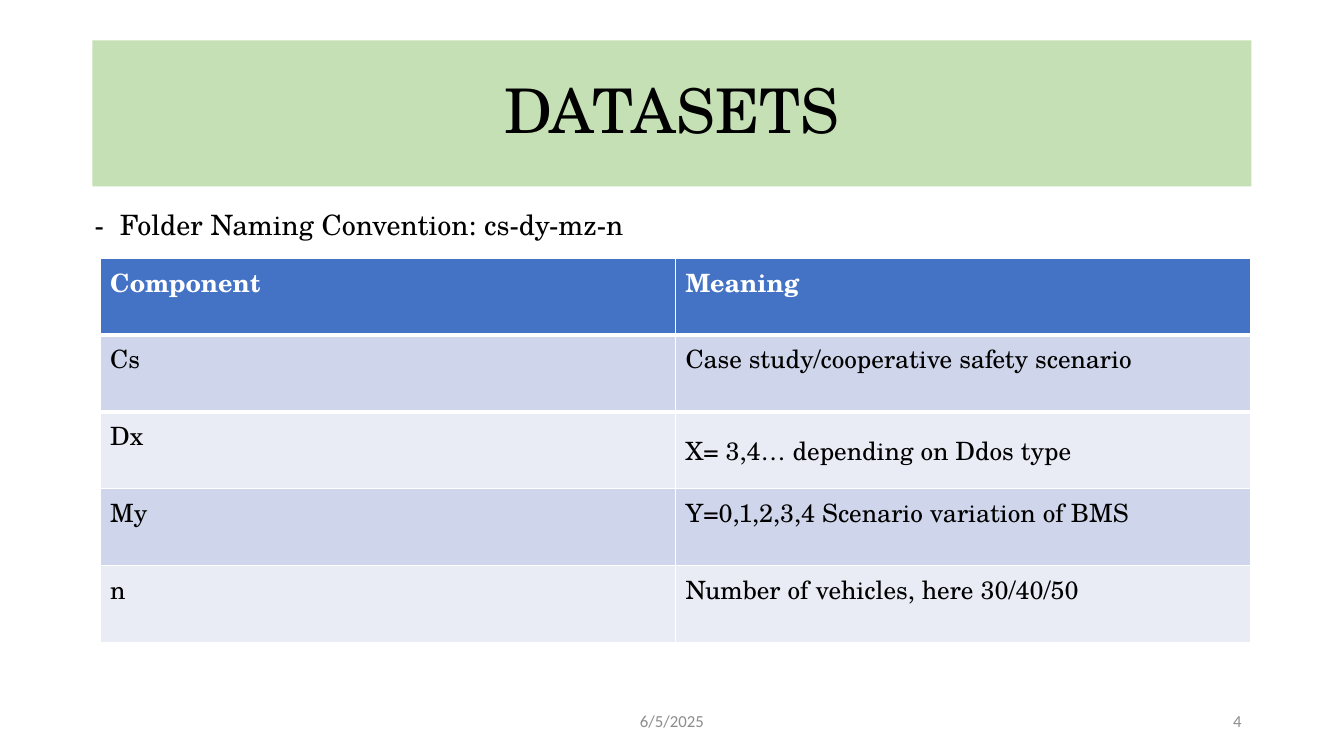
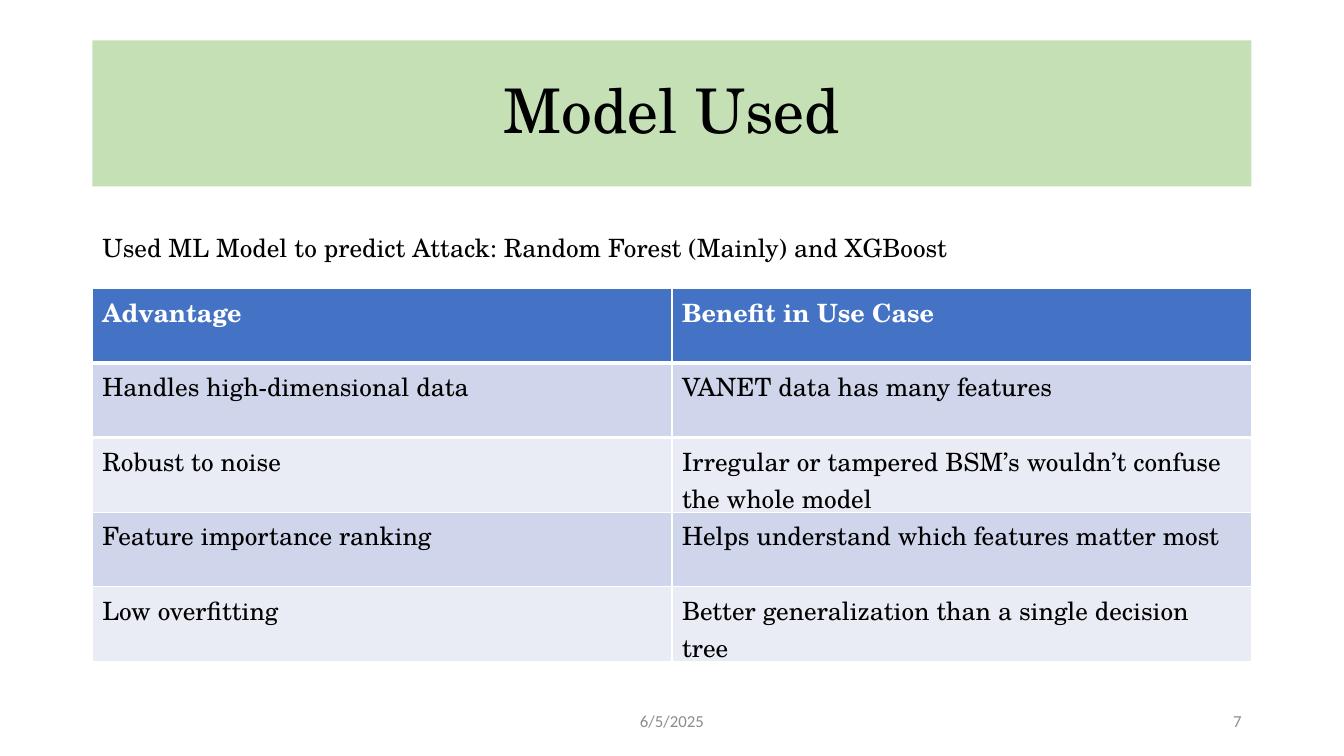
"""Build two slides on vehicle datasets and the model used."""
from dataclasses import dataclass

from lxml.etree import SubElement
from pptx import Presentation
from pptx.dml.color import RGBColor
from pptx.enum.text import MSO_ANCHOR as Anchor, PP_ALIGN as Align
from pptx.oxml.ns import qn
from pptx.util import Pt

COLOURS = {
    "text": "000000",
    "band": "C5E0B4",
    "footer": "8C8C8C",
    "header": "4472C4",
    "header_text": "FFFFFF",
    "rule": "FFFFFF",
    "odd_row": "CFD5EA",
    "even_row": "E9EBF5",
}
SERIF = "TeX Gyre Schola"
SANS = "Calibri"
DATE = "6/5/2025"


@dataclass(frozen=True)
class TextStyle:
    size: float
    font: str = SERIF
    colour: str = "text"
    bold: bool = False
    align: Align = Align.LEFT
    anchor: Anchor = Anchor.TOP
    spacing: float = 1.0


@dataclass(frozen=True)
class Frame:
    left: float
    top: float
    width: float
    height: float

    def lengths(self) -> tuple:
        return Pt(self.left), Pt(self.top), Pt(self.width), Pt(self.height)


@dataclass(frozen=True)
class Content:
    title: str
    number: int
    intro: str
    intro_frame: Frame
    intro_size: float
    bullet: str
    table_frame: Frame
    rows: list
    middle_cells: tuple = ()


TITLE = TextStyle(44, align=Align.CENTER, anchor=Anchor.MIDDLE, spacing=0.9)
DATE_STYLE = TextStyle(12, SANS, "footer", align=Align.CENTER, anchor=Anchor.MIDDLE)
NUMBER_STYLE = TextStyle(12, SANS, "footer", align=Align.RIGHT, anchor=Anchor.MIDDLE)
HEADER_CELL = TextStyle(18, colour="header_text", bold=True)
BODY_CELL = TextStyle(18)

TITLE_FRAME = Frame(66, 28.8, 828, 104.4)
DATE_FRAME = Frame(318, 500.5, 324, 28.75)
NUMBER_FRAME = Frame(678, 500.5, 216, 28.75)

CONTENTS = [
    Content(
        "DATASETS", 4, "Folder Naming Convention: cs-dy-mz-n",
        Frame(60.5, 145, 828, 36), 20, "-", Frame(71.5, 184.5, 822, 274.5),
        [
            ("Component", "Meaning"),
            ("Cs", "Case study/cooperative safety scenario"),
            ("Dx", "X= 3,4… depending on Ddos type"),
            ("My", "Y=0,1,2,3,4 Scenario variation of BMS"),
            ("n", "Number of vehicles, here 30/40/50"),
        ],
        ((2, 1),),
    ),
    Content(
        "Model Used", 7,
        "Used ML Model to predict Attack: Random Forest (Mainly) and XGBoost",
        Frame(66, 162.75, 828, 36), 18, "", Frame(66, 206, 828, 266.5),
        [
            ("Advantage", "Benefit in Use Case"),
            ("Handles high-dimensional data", "VANET data has many features"),
            ("Robust to noise",
             "Irregular or tampered BSM’s wouldn’t confuse the whole model"),
            ("Feature importance ranking", "Helps understand which features matter most"),
            ("Low overfitting", "Better generalization than a single decision tree"),
        ],
    ),
]


def rgb(name: str) -> RGBColor:
    return RGBColor.from_string(COLOURS[name])


def write(text_frame, text: str, style: TextStyle):
    para = text_frame.paragraphs[0]
    para.text = text
    para.alignment = style.align
    if style.spacing != 1:
        para.line_spacing = style.spacing
    font = para.font
    font.name, font.size, font.bold = style.font, Pt(style.size), style.bold
    font.color.rgb = rgb(style.colour)
    return para


def add_text(page, frame: Frame, text: str, style: TextStyle, fill: str = ""):
    box = page.shapes.add_textbox(*frame.lengths())
    box.text_frame.word_wrap = True
    box.text_frame.vertical_anchor = style.anchor
    if fill:
        box.fill.solid()
        box.fill.fore_color.rgb = rgb(fill)
    return write(box.text_frame, text, style)


def set_bullet(para, mark: str, indent: float) -> None:
    properties = para._p.get_or_add_pPr()
    properties.set("marL", str(Pt(indent)))
    properties.set("indent", str(-Pt(indent)))
    SubElement(properties, qn("a:buFont")).set("typeface", SERIF)
    SubElement(properties, qn("a:buChar")).set("char", mark)
    default_font = properties.find(qn("a:defRPr"))
    if default_font is not None:
        properties.append(default_font)


def set_border(cell, side: str, width: float) -> None:
    properties = cell._tc.get_or_add_tcPr()
    line = SubElement(properties, qn(f"a:{side}"), w=str(Pt(width)))
    solid = SubElement(line, qn("a:solidFill"))
    SubElement(solid, qn("a:srgbClr")).set("val", COLOURS["rule"])


def add_grid(page, content: Content) -> None:
    frame, rows = content.table_frame, content.rows
    table = page.shapes.add_table(len(rows), len(rows[0]), *frame.lengths()).table
    for row_index, row in enumerate(rows):
        table.rows[row_index].height = Pt(frame.height / len(rows))
        fill = "odd_row" if row_index % 2 else "even_row"
        for column_index, text in enumerate(row):
            cell = table.cell(row_index, column_index)
            if row_index < 2:
                set_border(cell, "lnT" if row_index else "lnB", 3)
            cell.fill.solid()
            cell.fill.fore_color.rgb = rgb(fill if row_index else "header")
            if (row_index, column_index) in content.middle_cells:
                cell.vertical_anchor = Anchor.MIDDLE
            write(cell.text_frame, text, BODY_CELL if row_index else HEADER_CELL)


def add_page(deck, content: Content) -> None:
    page = deck.slides.add_slide(deck.slide_layouts[6])
    add_text(page, TITLE_FRAME, content.title, TITLE, "band")
    add_text(page, DATE_FRAME, DATE, DATE_STYLE)
    add_text(page, NUMBER_FRAME, str(content.number), NUMBER_STYLE)
    intro = add_text(page, content.intro_frame, content.intro, TextStyle(content.intro_size))
    if content.bullet:
        set_bullet(intro, content.bullet, 18)
    add_grid(page, content)


def main() -> None:
    deck = Presentation()
    deck.slide_width, deck.slide_height = Pt(960), Pt(540)
    for content in CONTENTS:
        add_page(deck, content)
    deck.save("out.pptx")


if __name__ == "__main__":
    main()
